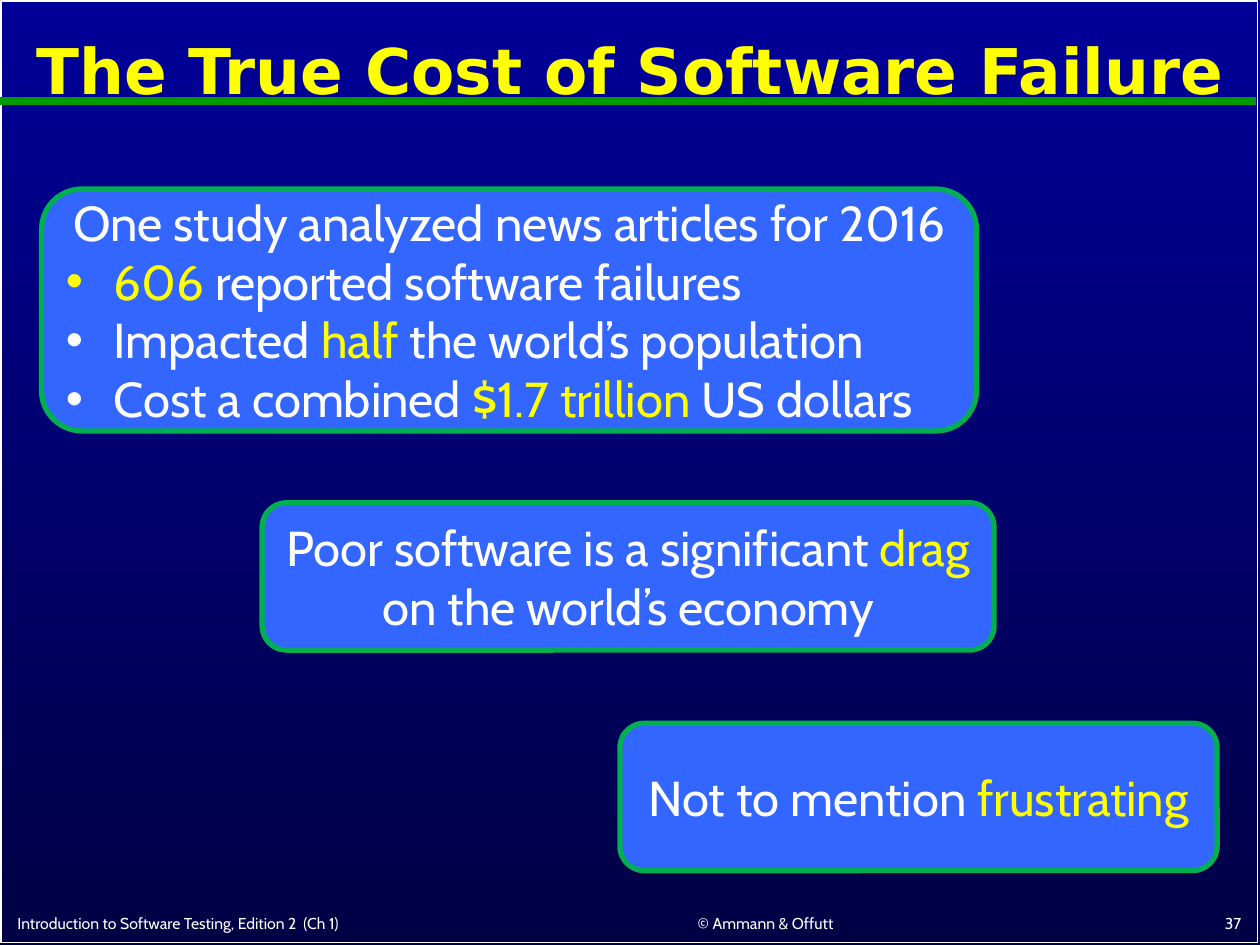
from dataclasses import dataclass

from lxml.etree import SubElement
from pptx import Presentation
from pptx.dml.color import RGBColor
from pptx.enum.shapes import MSO_CONNECTOR, MSO_SHAPE
from pptx.enum.text import MSO_ANCHOR, PP_ALIGN
from pptx.oxml.ns import qn
from pptx.util import Inches, Pt


@dataclass(frozen=True)
class Theme:
    sky: str = "000099"
    night: str = "000044"
    white: str = "FFFFFF"
    yellow: str = "FFFF00"
    rule: str = "009900"
    panel: str = "3366FF"
    border: str = "00B050"
    title_font: str = "DejaVu Sans"
    body_font: str = "Cabin"
    title_size: int = 36
    body_size: int = 28
    footer_size: int = 9


THEME = Theme()
COLUMNS, ROWS = 100, 75
CELL = Inches(0.1)
INDENT = Inches(0.38)


def color(value):
    return RGBColor.from_string(value)


def grid(*cells):
    return [round(cell * CELL) for cell in cells]


def paint_background(page):
    fill = page.background.fill
    fill.gradient()
    fill.gradient_angle = 270
    for stop, shade in zip(fill.gradient_stops, (THEME.sky, THEME.night)):
        stop.color.rgb = color(shade)


def add_span(para, text, shade, size, font, bold=False):
    span = para.add_run()
    span.text = text
    span.font.size = Pt(size)
    span.font.name = font
    span.font.bold = bold
    span.font.color.rgb = color(shade)


def add_bullet(para):
    properties = para._p.get_or_add_pPr()
    properties.set("marL", str(INDENT))
    properties.set("indent", str(-INDENT))
    SubElement(properties, qn("a:buFont"), typeface="Arial")
    SubElement(properties, qn("a:buChar"), char="•")


def add_frame(page):
    frame = page.shapes.add_shape(MSO_SHAPE.RECTANGLE, *grid(0.1, 0.1, COLUMNS - 0.3, ROWS - 0.3))
    frame.shadow.inherit = False
    frame.fill.background()
    frame.line.color.rgb = color(THEME.white)
    frame.line.width = Pt(1)


def add_rule(page, row):
    rule = page.shapes.add_connector(MSO_CONNECTOR.STRAIGHT, *grid(0, row, COLUMNS - 0.3, row))
    rule.line.color.rgb = color(THEME.rule)
    rule.line.width = Pt(4.5)
    SubElement(rule._element.spPr, qn("a:effectLst"))


def add_label(page, place, text, align, anchor, shade, size, font, bold=False):
    box = page.shapes.add_textbox(*grid(*place))
    box.text_frame.word_wrap = True
    box.text_frame.vertical_anchor = anchor
    para = box.text_frame.paragraphs[0]
    para.alignment = align
    add_span(para, text, shade, size, font, bold)
    return para


def add_title(page, text):
    para = add_label(page, (0.5, 1.1, 99, 9.5), text, PP_ALIGN.CENTER, MSO_ANCHOR.MIDDLE,
                     THEME.yellow, THEME.title_size, THEME.title_font, bold=True)
    para.line_spacing = 0.9


def add_footer(page, left, width, text, align):
    add_label(page, (left, 71.7, width, 2.8), text, align, MSO_ANCHOR.BOTTOM,
              THEME.white, THEME.footer_size, THEME.body_font)


def add_panel(page, place, heading, bullets=()):
    panel = page.shapes.add_shape(MSO_SHAPE.ROUNDED_RECTANGLE, *grid(*place))
    panel.shadow.inherit = False
    panel.fill.solid()
    panel.fill.fore_color.rgb = color(THEME.panel)
    panel.line.color.rgb = color(THEME.border)
    panel.line.width = Pt(3)
    frame = panel.text_frame
    frame.word_wrap = True
    frame.vertical_anchor = MSO_ANCHOR.MIDDLE
    for index, spans in enumerate((heading, *bullets)):
        para = frame.add_paragraph() if index else frame.paragraphs[0]
        para.alignment = PP_ALIGN.LEFT if index else PP_ALIGN.CENTER
        if index:
            add_bullet(para)
        for text, shade in spans:
            add_span(para, text, shade, THEME.body_size, THEME.body_font)


def main():
    deck = Presentation()
    deck.slide_width, deck.slide_height = grid(COLUMNS, ROWS)
    page = deck.slides.add_slide(deck.slide_layouts[6])
    white, yellow = THEME.white, THEME.yellow

    paint_background(page)
    add_frame(page)
    add_rule(page, 8)
    add_title(page, "The True Cost of Software Failure")

    add_footer(page, 0.4, 42, "Introduction to Software Testing, Edition 2  (Ch 1)", PP_ALIGN.LEFT)
    add_footer(page, 44.9, 31.7, "© Ammann & Offutt", PP_ALIGN.CENTER)
    add_footer(page, 78.7, 20.8, "37", PP_ALIGN.RIGHT)

    add_panel(
        page, (3.3, 15, 74.2, 19.2),
        [("One study analyzed news articles for 2016", white)],
        [
            [("606", yellow), (" reported software failures", white)],
            [("Impacted ", white), ("half", yellow), (" the world’s population", white)],
            [("Cost a combined ", white), ("$1.7 trillion ", yellow), ("US dollars", white)],
        ],
    )
    add_panel(
        page, (20.8, 39.9, 58.1, 11.7),
        [("Poor software is a significant ", white), ("drag", yellow),
         (" on the world’s economy", white)],
    )
    add_panel(
        page, (49.2, 57.4, 47.4, 11.7),
        [("Not to mention ", white), ("frustrating", yellow)],
    )
    deck.save("out.pptx")


if __name__ == "__main__":
    main()
